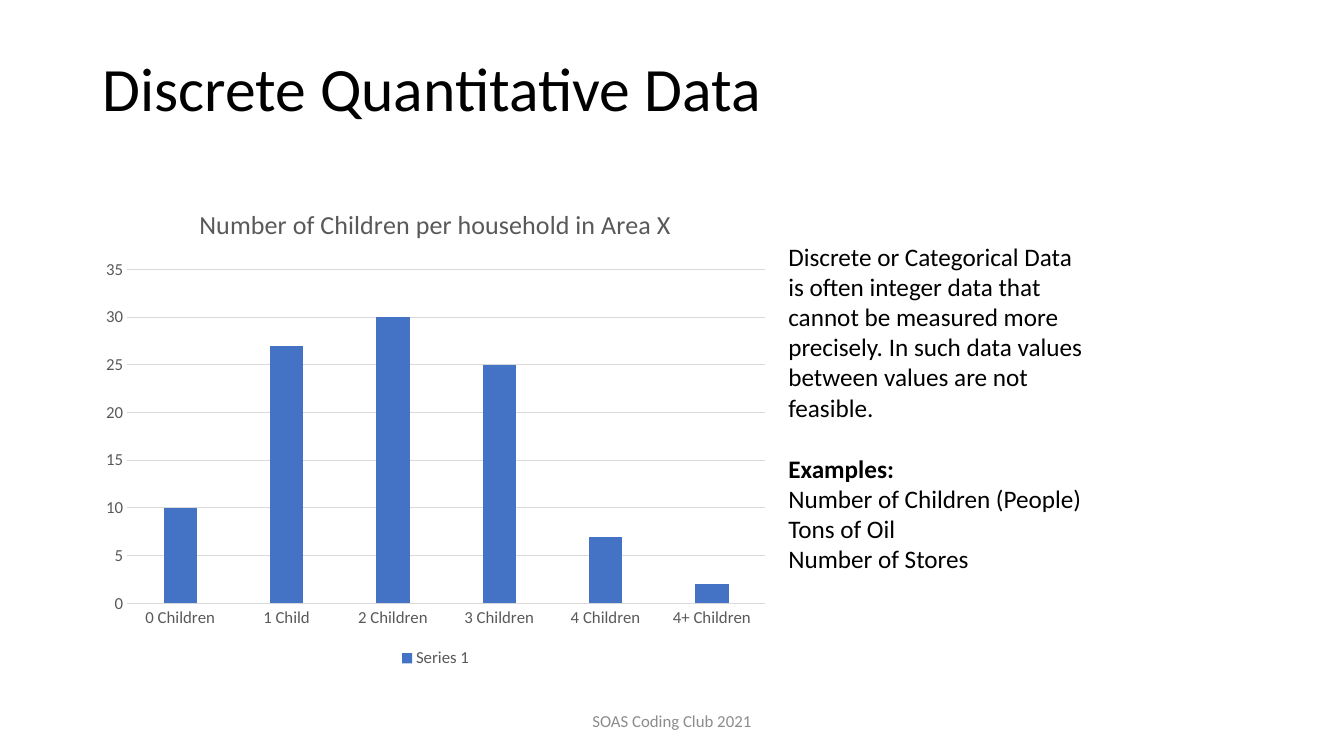
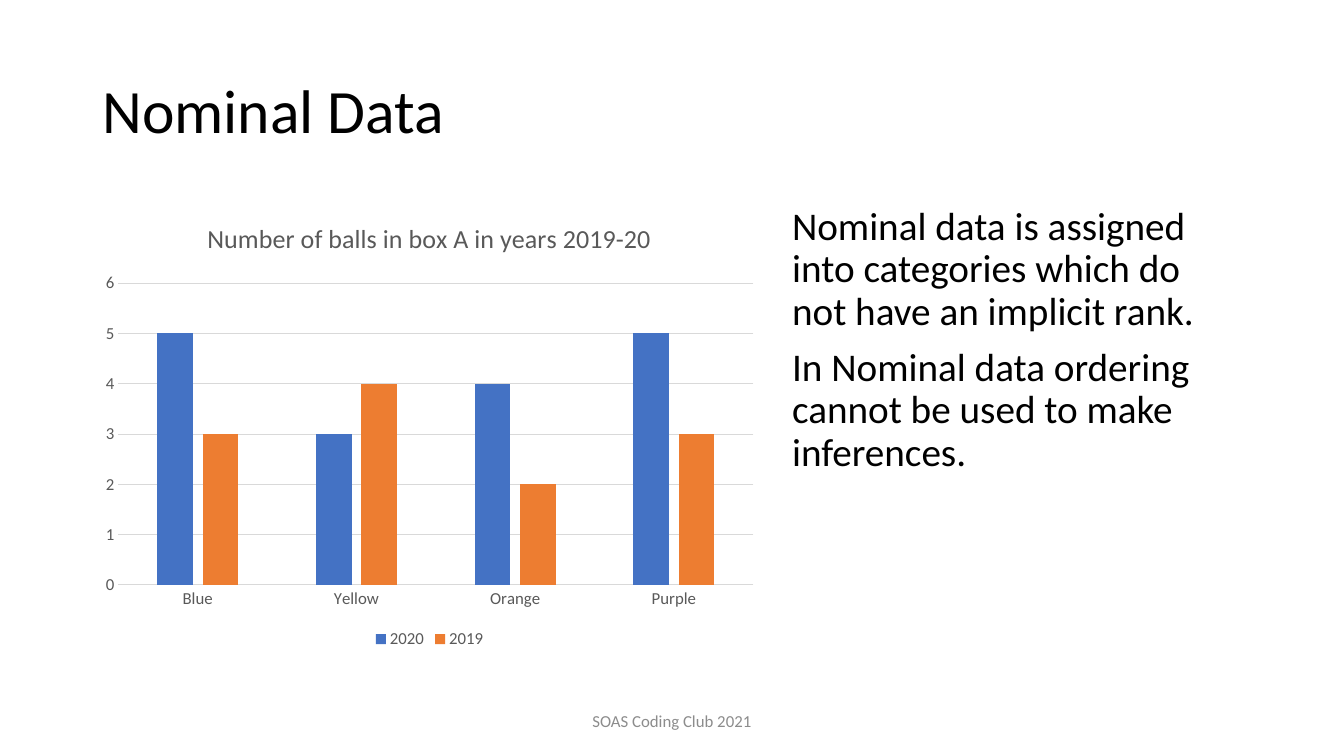
from pptx import Presentation
from pptx.chart.data import CategoryChartData
from pptx.dml.color import RGBColor
from pptx.enum.chart import XL_CHART_TYPE, XL_LEGEND_POSITION, XL_TICK_MARK
from pptx.enum.text import MSO_ANCHOR, MSO_AUTO_SIZE, PP_ALIGN
from pptx.util import Pt

FACE = "Calibri"
HUES = {"ink": "000000", "label": "595959", "grid": "D9D9D9",
        "foot": "8C8C8C", "blue": "4472C4", "orange": "ED7D31"}
LEFT = 66
FOOT = (318, 500.4, 324, 28.8)


def rgb(name):
    return RGBColor.from_string(HUES[name])


def style(font, size, hue="ink", bold=False):
    font.name, font.size, font.bold = FACE, Pt(size), bold
    font.color.rgb = rgb(hue)


def fill_text(frame, lines, size, hue="ink", align=PP_ALIGN.LEFT,
              anchor=MSO_ANCHOR.TOP, lead=1.0):
    """Write lines given as (text, space before, bold)."""
    frame.word_wrap = True
    frame.auto_size = MSO_AUTO_SIZE.NONE
    frame.vertical_anchor = anchor
    for i, (text, gap, bold) in enumerate(lines):
        para = frame.add_paragraph() if i else frame.paragraphs[0]
        para.alignment = align
        para.line_spacing = lead
        para.space_before = Pt(gap)
        run = para.add_run()
        run.text = text
        style(run.font, size, hue, bold)


def add_text(slide, box, lines, size, **look):
    shape = slide.shapes.add_textbox(*map(Pt, box))
    fill_text(shape.text_frame, lines, size, **look)


def add_frame(deck, title, high):
    """Add a slide with its title and footer."""
    slide = deck.slides.add_slide(deck.slide_layouts[5])
    head = slide.shapes.title
    head.left, head.top, head.width, head.height = map(
        Pt, (LEFT, 28.8, 828, high))
    fill_text(head.text_frame, [(title, 0, False)], 44,
              anchor=MSO_ANCHOR.MIDDLE, lead=0.9)
    add_text(slide, FOOT, [("SOAS Coding Club 2021", 0, False)], 12,
             hue="foot", align=PP_ALIGN.CENTER, anchor=MSO_ANCHOR.MIDDLE)
    return slide


def style_line(line):
    line.color.rgb = rgb("grid")
    line.width = Pt(0.75)


def add_bars(slide, box, title, cats, series):
    """Add a column chart; series holds (name, hue, values)."""
    data = CategoryChartData(number_format="General")
    data.categories = cats
    for name, _, vals in series:
        data.add_series(name, vals)
    chart = slide.shapes.add_chart(
        XL_CHART_TYPE.COLUMN_CLUSTERED, *map(Pt, box), data).chart
    style(chart.font, 12, "label")

    chart.has_title = True
    run = chart.chart_title.text_frame.paragraphs[0].add_run()
    run.text = title
    style(run.font, 18.6, "label")
    chart.chart_title.include_in_layout = False

    chart.has_legend = True
    chart.legend.position = XL_LEGEND_POSITION.BOTTOM
    chart.legend.include_in_layout = False
    style(chart.legend.font, 12, "label")

    for axis in (chart.category_axis, chart.value_axis):
        axis.major_tick_mark = axis.minor_tick_mark = XL_TICK_MARK.NONE
        style(axis.tick_labels.font, 12, "label")
    style_line(chart.category_axis.format.line)
    chart.value_axis.format.line.fill.background()
    chart.value_axis.has_major_gridlines = True
    style_line(chart.value_axis.major_gridlines.format.line)

    plot = chart.plots[0]
    plot.gap_width, plot.overlap = 219, -27
    plot.vary_by_categories = False
    for bars, (_, hue, _) in zip(plot.series, series):
        bars.format.fill.solid()
        bars.format.fill.fore_color.rgb = rgb(hue)
        bars.invert_if_negative = False


def add_discrete(deck):
    slide = add_frame(deck, "Discrete Quantitative Data", 73.4)
    add_bars(slide, (LEFT, 133.2, 490.3, 347),
             "Number of Children per household in Area X",
             ["0 Children", "1 Child", "2 Children", "3 Children",
              "4 Children", "4+ Children"],
             [("Series 1", "blue", [10, 27, 30, 25, 7, 2])])
    add_text(slide, (556, 168.5, 231, 247), [
        ("Discrete or Categorical Data is often integer data that cannot be "
         "measured more precisely. In such data values between values are "
         "not feasible.", 0, False),
        ("Examples:", 22, True),
        ("Number of Children (People)", 0, False),
        ("Tons of Oil", 0, False),
        ("Number of Stores", 0, False)], 18)


def add_nominal(deck):
    slide = add_frame(deck, "Nominal Data", 104.4)
    add_text(slide, (558.7, 144, 334.8, 342.7), [
        ("Nominal data is assigned into categories which do not have an "
         "implicit rank.", 10, False),
        ("In Nominal data ordering cannot be used to make inferences.",
         10, False)], 28, lead=0.9)
    add_bars(slide, (LEFT, 144, 481.7, 322.6),
             "Number of balls in box A in years 2019-20",
             ["Blue", "Yellow", "Orange", "Purple"],
             [("2020", "blue", [5, 3, 4, 5]),
              ("2019", "orange", [3, 4, 2, 3])])


def main():
    deck = Presentation()
    deck.slide_width, deck.slide_height = Pt(960), Pt(540)
    add_discrete(deck)
    add_nominal(deck)
    deck.save("out.pptx")


if __name__ == "__main__":
    main()
